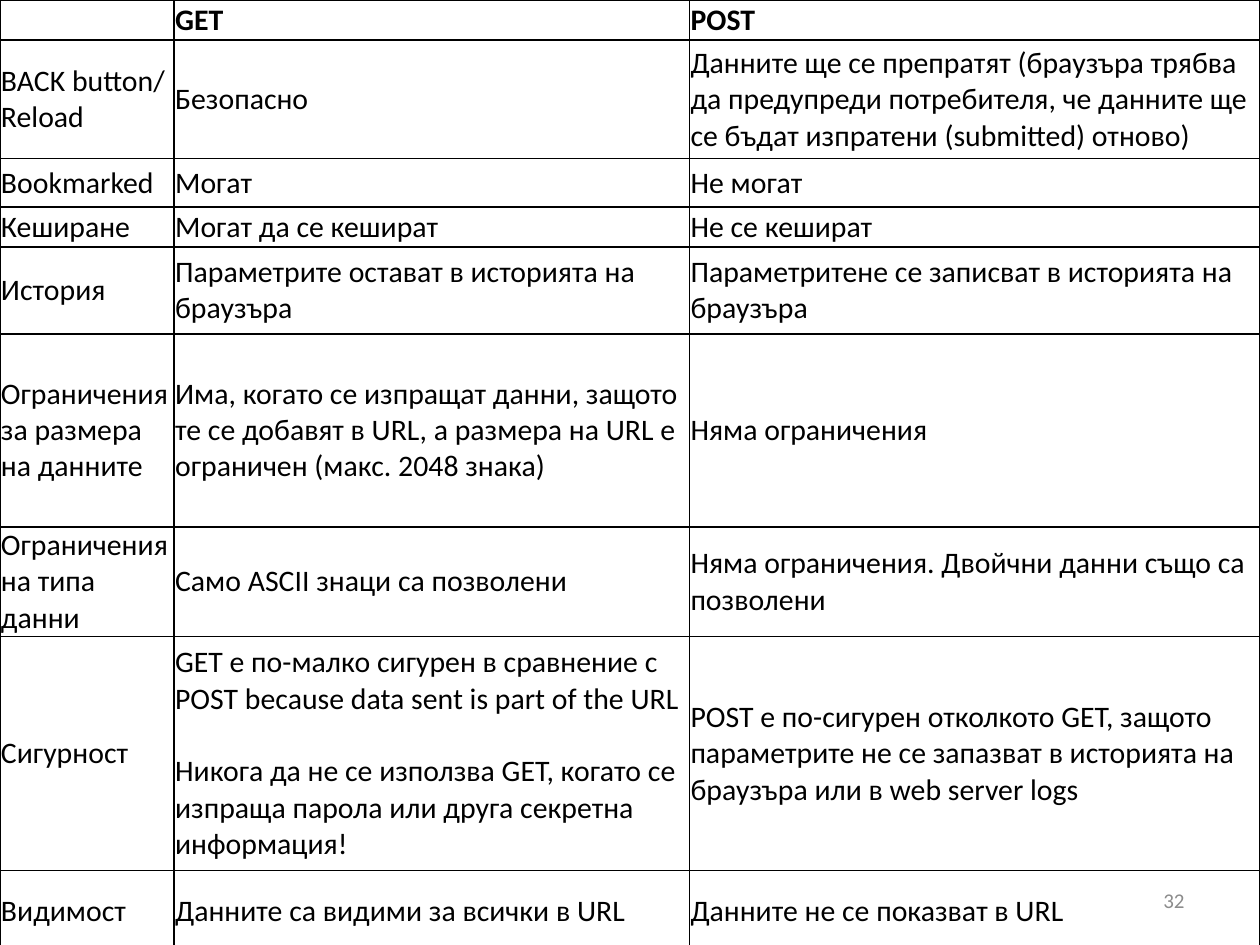
import pptx
import pptx.dml.color
import pptx.enum.text
import pptx.oxml
import pptx.oxml.ns
import pptx.util
from pptx.util import Cm

COLORS = {"text": "000000", "border": "000000", "number": "8C8C8C"}
FONT = "Calibri"
TEXT_SIZE = 17
COLUMN_WIDTHS = [3.51, 10.39, 11.5]
ROW_HEIGHTS = [0.81, 2.39, 0.97, 0.81, 1.75, 3.89, 2.21, 4.72, 1.65]

# A newline starts a spaced paragraph, \v is a line break
COMPARISON = [
    ["", "GET", "POST"],
    ["BACK button/\vReload", "Безопасно",
     "Данните ще се препратят (браузъра трябва да предупреди потребителя, "
     "че данните ще се бъдат изпратени (submitted) отново)"],
    ["Bookmarked", "Могат", "Не могат"],
    ["Кеширане", "Могат да се кешират", "Не се кешират"],
    ["История", "Параметрите остават в историята на браузъра",
     "Параметритене се записват в историята на браузъра"],
    ["Ограничения за размера на данните",
     "Има, когато се изпращат данни, защото те се добавят в URL, "
     "а размера на URL е ограничен (макс. 2048 знака)",
     "Няма ограничения"],
    ["Ограничения на типа данни", "Само ASCII знаци са позволени",
     "Няма ограничения. Двойчни данни също са позволени"],
    ["Сигурност",
     "GET е по-малко сигурен в сравнение с POST because data sent is part of the URL\n"
     "Никога да не се използва GET, когато се изпраща парола или друга секретна информация!",
     "POST е по-сигурен отколкото GET, защото параметрите не се запазват "
     "в историята на браузъра или в web server logs"],
    ["Видимост", "Данните са видими за всички в URL", "Данните не се показват в URL"],
]


def format_runs(paragraph, size, color, bold=False):
    for run in paragraph.runs:
        run.font.name = FONT
        run.font.size = pptx.util.Pt(size)
        run.font.bold = bold
        run.font.color.rgb = pptx.dml.color.RGBColor.from_string(COLORS[color])


def set_borders(cell):
    properties = cell._tc.get_or_add_tcPr()
    for side in ("lnL", "lnR", "lnT", "lnB"):
        properties.append(pptx.oxml.parse_xml(
            f'<a:{side} {pptx.oxml.ns.nsdecls("a")} w="12700"><a:solidFill>'
            f'<a:srgbClr val="{COLORS["border"]}"/></a:solidFill></a:{side}>'))


def fill_cell(cell, text, bold):
    set_borders(cell)
    cell.fill.background()
    cell.margin_left = cell.margin_right = Cm(0.02)
    cell.margin_top = cell.margin_bottom = 0
    cell.vertical_anchor = pptx.enum.text.MSO_ANCHOR.MIDDLE
    cell.text_frame.text = text
    for index, paragraph in enumerate(cell.text_frame.paragraphs):
        if index:
            paragraph.space_before = pptx.util.Pt(TEXT_SIZE * 1.22)
        format_runs(paragraph, TEXT_SIZE, "text", bold)


def add_comparison(slide):
    table = slide.shapes.add_table(
        len(ROW_HEIGHTS), len(COLUMN_WIDTHS), 0, 0,
        Cm(sum(COLUMN_WIDTHS)), Cm(sum(ROW_HEIGHTS))).table
    table.horz_banding = False
    for column, width in zip(table.columns, COLUMN_WIDTHS):
        column.width = Cm(width)
    for row_index, (row, height) in enumerate(zip(table.rows, ROW_HEIGHTS)):
        row.height = Cm(height)
        for cell, text in zip(row.cells, COMPARISON[row_index]):
            fill_cell(cell, text, bold=row_index == 0)


def add_slide_number(slide, number):
    frame = slide.shapes.add_textbox(Cm(18.2), Cm(17.65), Cm(5.93), Cm(1.01)).text_frame
    frame.word_wrap = True
    frame.vertical_anchor = pptx.enum.text.MSO_ANCHOR.MIDDLE
    frame.text = number
    frame.paragraphs[0].alignment = pptx.enum.text.PP_ALIGN.RIGHT
    format_runs(frame.paragraphs[0], 12, "number")


def main():
    deck = pptx.Presentation()
    deck.slide_width, deck.slide_height = Cm(25.4), Cm(19.05)
    slide = deck.slides.add_slide(deck.slide_layouts[6])

    # GET and POST side by side
    add_comparison(slide)

    # Slide number over the last row
    add_slide_number(slide, "32")

    deck.save("out.pptx")


if __name__ == "__main__":
    main()
